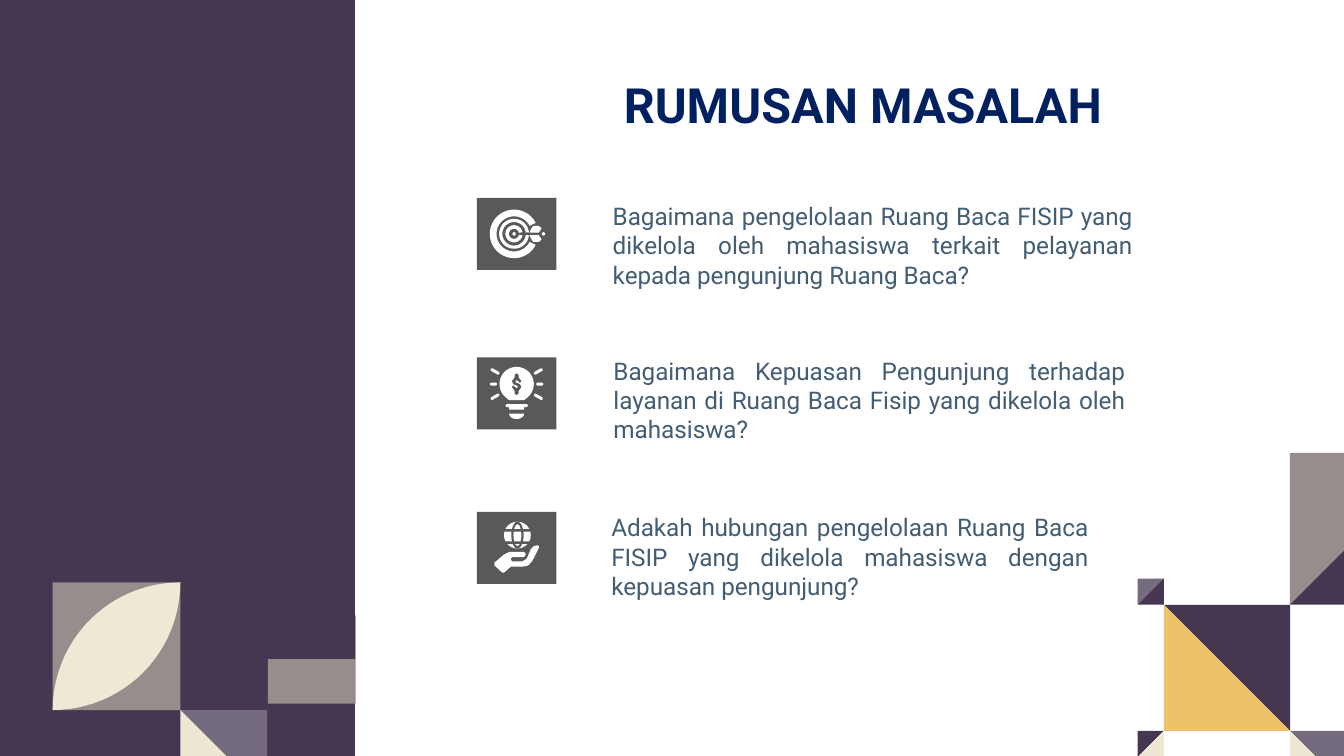
from dataclasses import dataclass
from math import cos, radians, sin

from pptx import Presentation
from pptx.dml.color import RGBColor as RGB
from pptx.enum.shapes import MSO_SHAPE as Kind
from pptx.enum.text import MSO_ANCHOR as Anchor, PP_ALIGN as Align
from pptx.util import Pt


@dataclass(frozen=True)
class Theme:
    font: str = "Roboto"
    head: int = 26
    body: int = 13
    navy: str = "002060"
    slate: str = "435D74"
    plum: str = "453751"
    mauve: str = "756B7E"
    stone: str = "968D8C"
    leaf: str = "EEE8D5"
    cream: str = "EDE7D3"
    gold: str = "EDC26B"
    gray: str = "595959"
    white: str = "FFFFFF"


def arc(x, y, rx, ry, start, end, steps=24):
    """Points along an ellipse, in degrees clockwise from the right."""
    turns = [radians(start + (end - start) * i / steps) for i in range(steps + 1)]
    return [(x + rx * cos(t), y + ry * sin(t)) for t in turns]


def write(frame, text, size, color, bold=False, align=Align.LEFT, space=None):
    para = frame.paragraphs[0]
    para.alignment = align
    if space:
        para.line_spacing = space
    run = para.add_run()
    run.text = text
    font = run.font
    font.name, font.size, font.bold = Theme.font, Pt(size), bold
    font.color.rgb = RGB.from_string(color)


class Pen:
    """Draws on one slide, with lengths in points from a movable origin."""

    def __init__(self, slide, theme):
        self.slide, self.theme = slide, theme
        self.move(0, 0)

    def move(self, x, y):
        self.x, self.y = x, y

    def paint(self, shape, color):
        shape.shadow.inherit = False
        shape.fill.solid()
        shape.fill.fore_color.rgb = RGB.from_string(color)
        shape.line.fill.background()
        return shape

    def shape(self, x, y, w, h, color, kind=Kind.RECTANGLE, turn=0):
        item = self.slide.shapes.add_shape(
            kind, Pt(self.x + x), Pt(self.y + y), Pt(w), Pt(h))
        item.rotation = turn
        return self.paint(item, color)

    def disc(self, x, y, r, color):
        return self.shape(x - r, y - r, 2 * r, 2 * r, color, Kind.OVAL)

    def pill(self, x, y, w, h, color, turn=0):
        """A round-ended bar about its centre."""
        bar = self.shape(x - w / 2, y - h / 2, w, h, color, Kind.ROUNDED_RECTANGLE, turn)
        bar.adjustments[0] = 0.5

    def poly(self, points, color):
        spots = [(Pt(self.x + x), Pt(self.y + y)) for x, y in points]
        form = self.slide.shapes.build_freeform(*spots[0], scale=1.0)
        form.add_line_segments(spots[1:], close=True)
        return self.paint(form.convert_to_shape(), color)

    def ring(self, x, y, outer, inner, gap, color):
        """A band that is open by gap degrees either side of the right."""
        self.poly(arc(x, y, outer, outer, gap, 360 - gap, 48)
                  + arc(x, y, inner, inner, 360 - gap, gap, 48), color)

    def split(self, x, y, side, upper, lower, rising=False):
        """A square cut along its diagonal into two triangles."""
        a, b, c, d = (x, y), (x + side, y), (x + side, y + side), (x, y + side)
        self.poly([a, b, d] if rising else [a, b, c], upper)
        self.poly([b, c, d] if rising else [a, c, d], lower)

    def text(self, x, y, w, h, words, anchor=Anchor.TOP, **style):
        box = self.slide.shapes.add_textbox(Pt(x), Pt(y), Pt(w), Pt(h))
        frame = box.text_frame
        frame.word_wrap = True
        frame.vertical_anchor = anchor
        frame.margin_left = frame.margin_right = Pt(7.2)
        frame.margin_top = frame.margin_bottom = Pt(7.2)
        write(frame, words, **style)


def target(pen):
    white = pen.theme.white
    for outer, inner, gap in ((13, 9.4, 27), (8, 6.3, 6), (4.6, 2.7, 11)):
        pen.ring(-1.4, 0, outer, inner, gap, white)
    for x in (-1.4, 14.4):
        pen.disc(x, 0, 0.9, white)
    vane = [(6.8, 0.7), (8.3, 3.6), (9, 4.3), (11.9, 4.3), (13.3, 2.9), (11.9, 0.7)]
    for sign in (-1, 1):
        pen.poly([(x, sign * y) for x, y in vane], white)


def bulb(pen):
    white = pen.theme.white
    pen.poly(arc(0, -5, 9.2, 9.2, 130, 410, 48) + [(4, 3.6), (-4, 3.6)], white)
    half = [(-1.1, -3.6), (-1.1, -5), (0, -5.8), (1.1, -5), (1.1, -3.6),
            (2.5, -1.6), (1.8, -0.7), (1.1, -1.4), (0, -2.2), (-0.9, -1.4),
            (0, -0.7), (1.8, 0), (2.5, 1.6)]
    dollar = half + [(-x, -y) for x, y in half]
    pen.poly([(x, y - 5) for x, y in dollar], pen.theme.gray)
    for side in (-1, 1):
        pen.pill(side * 12.4, -5, 3.8, 1.6, white)
        for tilt in (-1, 1):
            pen.pill(side * 11.6, -5 + tilt * 6.8, 5.2, 1.6, white, side * tilt * 30)
    pen.pill(0, 6.5, 12, 1.6, white)
    pen.shape(-4, 6.5, 8, 2.2, white)
    pen.poly(arc(0, 10.8, 4, 2.9, 0, 180), white)


def globe(pen):
    white, gray = pen.theme.white, pen.theme.gray
    pen.disc(0.4, -6.8, 7.2, white)
    ring = pen.shape(-2.9, -14, 6.6, 14.4, gray, Kind.DONUT)
    ring.adjustments[0] = 0.18
    for y in (-10.1, -3.5):
        pen.shape(-6.8, y, 14.4, 1.4, gray)
    pen.poly([(11.2, -1.4), (9.2, -0.9), (7.6, 0.7), (5.4, 5.8), (3.2, 7.2),
              (-2.5, 7.2), (-3.2, 6.1), (-2.5, 5), (3.2, 5), (4.4, 4.6),
              (4.9, 3.2), (4, 2.2), (-4, 2.2), (-6.8, 3.6), (-11.9, 7.9),
              (-11.9, 9.4), (-7.6, 13.3), (-6.8, 13.3), (-3.2, 10.1),
              (3.2, 10.1), (6.2, 9.4), (8.3, 7.2), (11.9, 0), (11.9, -0.9)], white)


def left(pen):
    look = pen.theme
    pen.shape(-3.6, 0, 193.8, 405, look.plum)
    x, y, side = 28.2, 312, 68.4
    pen.shape(x, y, side, side, look.stone)
    pen.poly(arc(x + side, y + side, side, side, 270, 180)
             + arc(x, y, side, side, 90, 0), look.leaf)
    pen.split(x + side, y + side, 46.5, look.mauve, look.cream)
    pen.shape(143.5, 329.9, 47.1, 47.1, look.stone)
    pen.shape(142.9, 329.2, 47.4, 23.8, look.plum)


def right(pen):
    look = pen.theme
    x, y, small, mid, big = 623.5, 324, 14, 67.6, 81.4
    pen.split(x + mid, y - big, big, look.stone, look.plum, rising=True)
    pen.split(x + mid, y + mid, big, look.mauve, look.cream)
    pen.split(x, y, mid, look.plum, look.gold)
    pen.split(x - small, y - small, small, look.mauve, look.plum, rising=True)
    pen.split(x - small, y + mid, small, look.plum, look.cream, rising=True)


def main():
    deck = Presentation()
    deck.slide_width, deck.slide_height = Pt(720), Pt(405)
    look = Theme()
    pen = Pen(deck.slides.add_slide(deck.slide_layouts[6]), look)
    left(pen)
    rows = [
        (target, 106, (321.2, 100.8, 292.3, 64),
         "Bagaimana pengelolaan Ruang Baca FISIP yang dikelola oleh mahasiswa "
         "terkait pelayanan kepada pengunjung Ruang Baca?"),
        (bulb, 191.5, (321.6, 183.4, 288, 57.6),
         "Bagaimana Kepuasan Pengunjung terhadap layanan di Ruang Baca Fisip "
         "yang dikelola oleh mahasiswa?"),
        (globe, 274.2, (320.4, 267.5, 269.5, 53.3),
         "Adakah hubungan pengelolaan Ruang Baca FISIP yang dikelola "
         "mahasiswa dengan kepuasan pengunjung?"),
    ]
    for icon, top, box, words in rows:
        pen.text(*box, words, size=look.body, color=look.slate, align=Align.JUSTIFY)
        pen.shape(255.5, top, 42.7, 38.6, look.gray)
        pen.move(276.8, top + 19.3)
        icon(pen)
        pen.move(0, 0)
    right(pen)
    pen.text(316, 12.2, 293, 66.2, "RUMUSAN MASALAH", Anchor.BOTTOM, size=look.head,
             color=look.navy, bold=True, align=Align.CENTER, space=1.5)
    deck.save("out.pptx")


if __name__ == "__main__":
    main()
